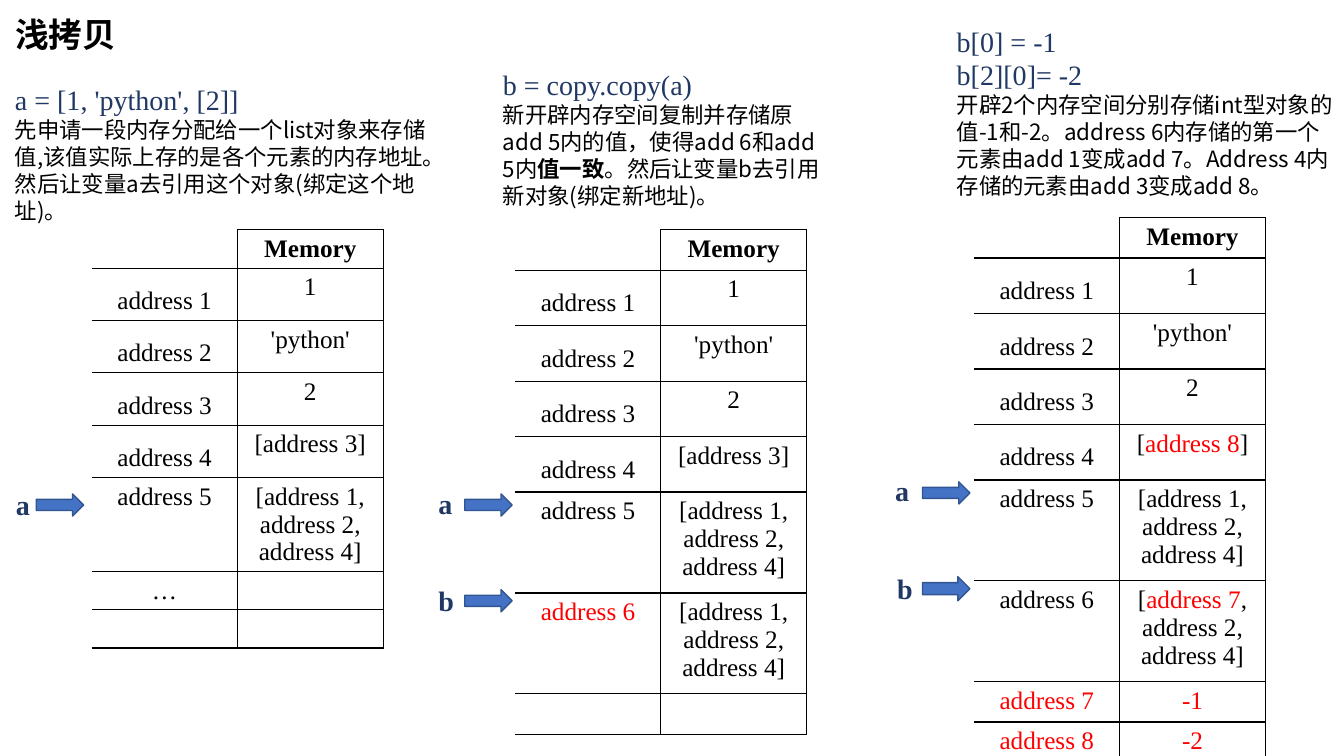
from lxml import etree
from pptx import Presentation
from pptx.dml.color import RGBColor
from pptx.enum.shapes import MSO_SHAPE
from pptx.enum.text import MSO_ANCHOR, MSO_AUTO_SIZE, PP_ALIGN
from pptx.oxml.ns import qn
from pptx.util import Inches, Pt

ARROW = MSO_SHAPE.RIGHT_ARROW
TOP = MSO_ANCHOR.TOP
NO_FIT = MSO_AUTO_SIZE.NONE
LEFT, CENTER = PP_ALIGN.LEFT, PP_ALIGN.CENTER

SERIF, SANS = "Times New Roman", "Noto Sans CJK SC"
NAVY, BLACK, RED = "203864", "000000", "FF0000"
BLUE, BLUE_LINE = "4472C4", "325491"


def style(font, size=None, name=None, color=None, bold=None):
    if size:
        font.size = Pt(size)
    if color:
        font.color.rgb = RGBColor.from_string(color)
    if bold is not None:
        font.bold = bold
    if name:
        font.name = name
        etree.SubElement(font._element, qn("a:ea"), typeface=name)


def write(p, text, **mark):
    """Parts between bars get the extra formatting in mark."""
    for i, part in enumerate(text.split("|")):
        if part:
            r = p.add_run()
            r.text = part
            if i % 2:
                style(r.font, **mark)


LIST = "[address 1, address 2, address 4]"
HEADER = ("", "Memory")
VALUES = [("address 1", "1"), ("address 2", "'python'"), ("address 3", "2")]

# caption: box, code lines, explanation; table: left, top, row heights, rows
# pointers: name, label left and top, arrow left, top and height
panels = [
    dict(
        box=(0.05, 0.77, 4.46, 1.51),
        code=["a = [1, 'python', [2]]"],
        note="先申请一段内存分配给一个list对象来存储值,该值实际上存的是各个元素的内存地址。"
             "然后让变量a去引用这个对象(绑定这个地址)。",
        at=(0.91, 2.28),
        heights=[0.38] + [0.52] * 4 + [0.93, 0.38, 0.38],
        rows=[HEADER, *VALUES, ("address 4", "[address 3]"),
              ("address 5", LIST), ("…", ""), ("", "")],
        pointers=[("a", 0.06, 4.79, 0.36, 4.9, 0.22)],
    ),
    dict(
        box=(4.89, 0.62, 3.34, 1.51),
        code=["b = copy.copy(a)"],
        note="新开辟内存空间复制并存储原add 5内的值，使得add 6和add 5内|值一致|。"
             "然后让变量b去引用新对象(绑定新地址)。",
        at=(5.11, 2.28),
        heights=[0.4] + [0.55] * 4 + [1, 1, 0.4],
        rows=[HEADER, *VALUES, ("address 4", "[address 3]"),
              ("address 5", LIST), ("|address 6|", LIST), ("", "")],
        pointers=[("a", 4.25, 4.78, 4.61, 4.9, 0.22),
                  ("b", 4.25, 5.74, 4.61, 5.85, 0.22)],
    ),
    dict(
        box=(9.39, 0.19, 3.95, 1.85),
        code=["b[0] = -1", "b[2][0]= -2"],
        note="开辟2个内存空间分别存储int型对象的值-1和-2。"
             "address 6内存储的第一个元素由add 1变成add 7。"
             "Address 4内存储的元素由add 3变成add 8。",
        at=(9.66, 2.16),
        heights=[0.4] + [0.55] * 4 + [1, 1, 0.4, 0.4],
        rows=[HEADER, *VALUES, ("address 4", "[|address 8|]"),
              ("address 5", LIST),
              ("address 6", "[|address 7|, address 2, address 4]"),
              ("|address 7|", "|-1|"), ("|address 8|", "|-2|")],
        pointers=[("a", 8.78, 4.65, 9.15, 4.78, 0.22),
                  ("b", 8.8, 5.62, 9.15, 5.72, 0.24)],
    ),
]

prs = Presentation()
prs.slide_width, prs.slide_height = Inches(13.33), Inches(7.5)
s = prs.slides.add_slide(prs.slide_layouts[5])

# Title
title = s.shapes.title
title.left, title.top = Inches(0.05), Inches(0.09)
title.width, title.height = Inches(1.22), Inches(0.5)
tf = title.text_frame
tf.text = "浅拷贝"
tf.word_wrap, tf.auto_size, tf.vertical_anchor = False, NO_FIT, TOP
p = tf.paragraphs[0]
p.alignment = LEFT
style(p.font, 24, SANS, BLACK, True)

for panel in panels:
    # Memory table
    rows, heights = panel["rows"], panel["heights"]
    left, top = panel["at"]
    table = s.shapes.add_table(len(rows), 2, Inches(left), Inches(top),
                               Inches(2.89), Inches(sum(heights))).table
    table.first_row = table.horz_banding = False
    for i, (row, height) in enumerate(zip(rows, heights)):
        table.rows[i].height = Inches(height)
        for j, text in enumerate(row):
            cell = table.cell(i, j)
            p = cell.text_frame.paragraphs[0]
            p.alignment = CENTER
            if j == 0 and 1 <= i <= 4:
                p.line_spacing = 1.5
            style(p.font, 18, SERIF, BLACK, i == 0)
            write(p, text, color=RED)
            # Borders: the address column is open on the left and at the top
            sides = "LRTB" if j else "RTB" if i else "RB"
            tcPr = cell._tc.get_or_add_tcPr()
            for side in "LRTB":
                ln = etree.SubElement(tcPr, qn("a:ln" + side), w=str(Pt(1)))
                if side in sides:
                    fill = etree.SubElement(ln, qn("a:solidFill"))
                    etree.SubElement(fill, qn("a:srgbClr"), val=BLACK)
                else:
                    etree.SubElement(ln, qn("a:noFill"))
            cell.fill.background()

    # Code and explanation
    tf = s.shapes.add_textbox(*map(Inches, panel["box"])).text_frame
    tf.word_wrap = True
    for i, line in enumerate(panel["code"]):
        p = tf.add_paragraph() if i else tf.paragraphs[0]
        style(p.font, 20, SERIF, NAVY)
        write(p, line)
    p = tf.add_paragraph()
    style(p.font, 16, SANS, BLACK)
    write(p, panel["note"], bold=True)

    # Variable names and arrows
    for name, x, y, arrow_x, arrow_y, arrow_h in panel["pointers"]:
        tf = s.shapes.add_textbox(Inches(x), Inches(y), Inches(0.35), Inches(0.44)).text_frame
        tf.word_wrap = False
        p = tf.paragraphs[0]
        style(p.font, 20, SERIF, NAVY, True)
        write(p, name)
        sp = s.shapes.add_shape(ARROW, Inches(arrow_x), Inches(arrow_y),
                                Inches(0.47), Inches(arrow_h))
        sp.shadow.inherit = False
        sp.fill.solid()
        sp.fill.fore_color.rgb = RGBColor.from_string(BLUE)
        sp.line.color.rgb = RGBColor.from_string(BLUE_LINE)
        sp.line.width = Pt(1)

prs.save("out.pptx")
